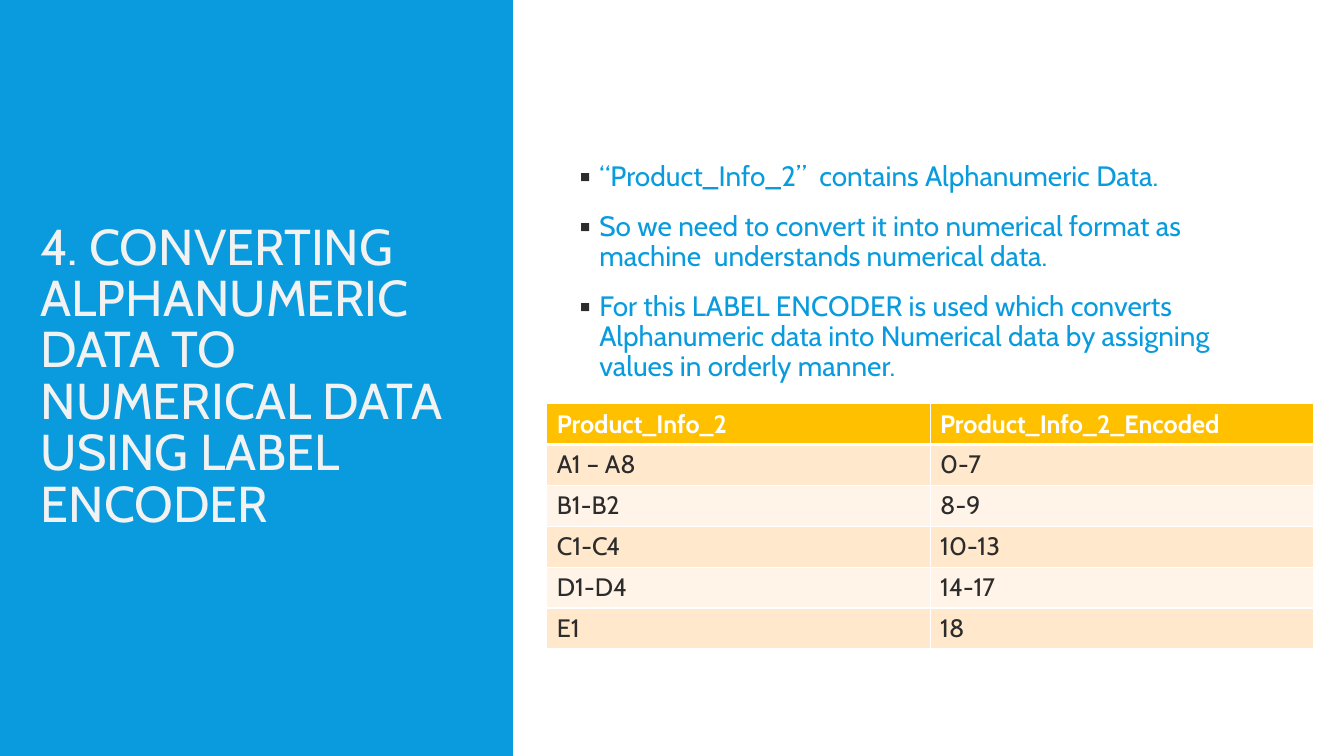
from lxml.etree import SubElement
from pptx import Presentation
from pptx.dml.color import RGBColor
from pptx.enum.shapes import MSO_SHAPE as Preset
from pptx.enum.text import MSO_ANCHOR as Anchor, MSO_AUTO_SIZE as AutoSize, PP_ALIGN as Align
from pptx.oxml import parse_xml
from pptx.oxml.ns import nsdecls, qn
from pptx.util import Cm, Pt

COLOURS = {
    "blue": "099BDD", "white": "FFFFFF", "title": "F2F2F2", "dark": "2C2C2C",
    "header": "FFC000", "odd row": "FFE8CC", "even row": "FFF4E7",
}
WIDTH, HEIGHT, PANEL_WIDTH = 33.87, 19.05, 12.93

TITLE = "4. CONVERTING ALPHANUMERIC DATA TO NUMERICAL DATA USING LABEL ENCODER"
POINTS = [
    "“Product_Info_2”  contains Alphanumeric Data.",
    "So we need to convert it into numerical format as machine  understands numerical data.",
    "For this LABEL ENCODER is used which converts Alphanumeric data into "
    "Numerical data by assigning values in orderly manner.",
]
ENCODING = [
    ("Product_Info_2", "Product_Info_2_Encoded"),
    ("A1 – A8", "0-7"),
    ("B1-B2", "8-9"),
    ("C1-C4", "10-13"),
    ("D1-D4", "14-17"),
    ("E1", "18"),
]


def rgb(name):
    return RGBColor.from_string(COLOURS[name])


class SlideBuilder:
    font_name = "Cabin"

    def __init__(self, slide):
        self.slide = slide

    def style(self, paragraph, size, colour, bold=False):
        font = paragraph.font
        font.name, font.size, font.bold = self.font_name, Pt(size), bold
        font.color.rgb = rgb(colour)

    def panel(self, left, width, colour):
        """Add a full-height rectangle behind the placeholders."""
        panel = self.slide.shapes.add_shape(
            Preset.RECTANGLE, Cm(left), Cm(0), Cm(width), Cm(HEIGHT))
        panel.fill.solid()
        panel.fill.fore_color.rgb = rgb(colour)
        panel.line.fill.background()
        panel.shadow.inherit = False
        self.slide.shapes.element.insert(2, panel.element)

    def place(self, placeholder, left, top, width, height):
        """Move a placeholder and return its text frame, centred vertically."""
        placeholder.left, placeholder.top = Cm(left), Cm(top)
        placeholder.width, placeholder.height = Cm(width), Cm(height)
        frame = placeholder.text_frame
        frame.word_wrap = True
        frame.auto_size = AutoSize.NONE
        frame.vertical_anchor = Anchor.MIDDLE
        return frame

    def title(self, text, *box):
        frame = self.place(self.slide.shapes.title, *box)
        frame.text = text
        heading = frame.paragraphs[0]
        heading.alignment = Align.LEFT
        heading.line_spacing = 0.85
        self.style(heading, 36, "title")

    def bullets(self, points, *box):
        frame = self.place(self.slide.placeholders[1], *box)
        frame.margin_bottom = Cm(2.3)
        frame.text = "\n".join(points)
        for point in frame.paragraphs:
            point.line_spacing = 0.9
            point.space_before, point.space_after = Pt(12), Pt(2)
            self.style(point, 20, "blue")
            self.bullet(point)

    def bullet(self, point):
        properties = point._p.get_or_add_pPr()
        properties.set("marL", str(Cm(0.5)))
        properties.set("indent", str(Cm(-0.5)))
        marks = [
            f'<a:buClr {nsdecls("a")}><a:srgbClr val="{COLOURS["dark"]}"/></a:buClr>',
            f'<a:buFont {nsdecls("a")} typeface="{self.font_name}"/>',
            f'<a:buChar {nsdecls("a")} char="▪"/>',
        ]
        following = properties.find(qn("a:defRPr"))
        for mark in map(parse_xml, marks):
            if following is None:
                properties.append(mark)
            else:
                following.addprevious(mark)

    def table(self, rows, left, top, width, row_height):
        table = self.slide.shapes.add_table(
            len(rows), len(rows[0]), Cm(left), Cm(top),
            Cm(width), Cm(row_height * len(rows))).table
        for r, row in enumerate(rows):
            is_header = r == 0
            fill = "header" if is_header else "odd row" if r % 2 else "even row"
            for c, value in enumerate(row):
                cell = table.cell(r, c)
                cell.text = value
                self.style(cell.text_frame.paragraphs[0], 18,
                           "white" if is_header else "dark", is_header)
                self.borders(cell, 3 if is_header else 1, 3 if r == 1 else 1)
                cell.fill.solid()
                cell.fill.fore_color.rgb = rgb(fill)

    def borders(self, cell, bottom, top):
        properties = cell._tc.get_or_add_tcPr()
        for side, width in {"L": 1, "R": 1, "T": top, "B": bottom}.items():
            line = SubElement(properties, qn(f"a:ln{side}"), w=str(Pt(width)))
            solid = SubElement(line, qn("a:solidFill"))
            SubElement(solid, qn("a:srgbClr"), val=COLOURS["white"])


def main():
    deck = Presentation()
    deck.slide_width, deck.slide_height = Cm(WIDTH), Cm(HEIGHT)
    builder = SlideBuilder(deck.slides.add_slide(deck.slide_layouts[1]))
    builder.panel(PANEL_WIDTH, WIDTH - PANEL_WIDTH, "white")
    builder.panel(0, PANEL_WIDTH, "blue")
    builder.title(TITLE, 0.77, 2.33, 11.25, 14.4)
    builder.bullets(POINTS, 14.35, 2.33, 17.8, 11.25)
    builder.table(ENCODING, 13.78, 10.17, 19.32, 1.02)
    deck.save("out.pptx")


if __name__ == "__main__":
    main()
